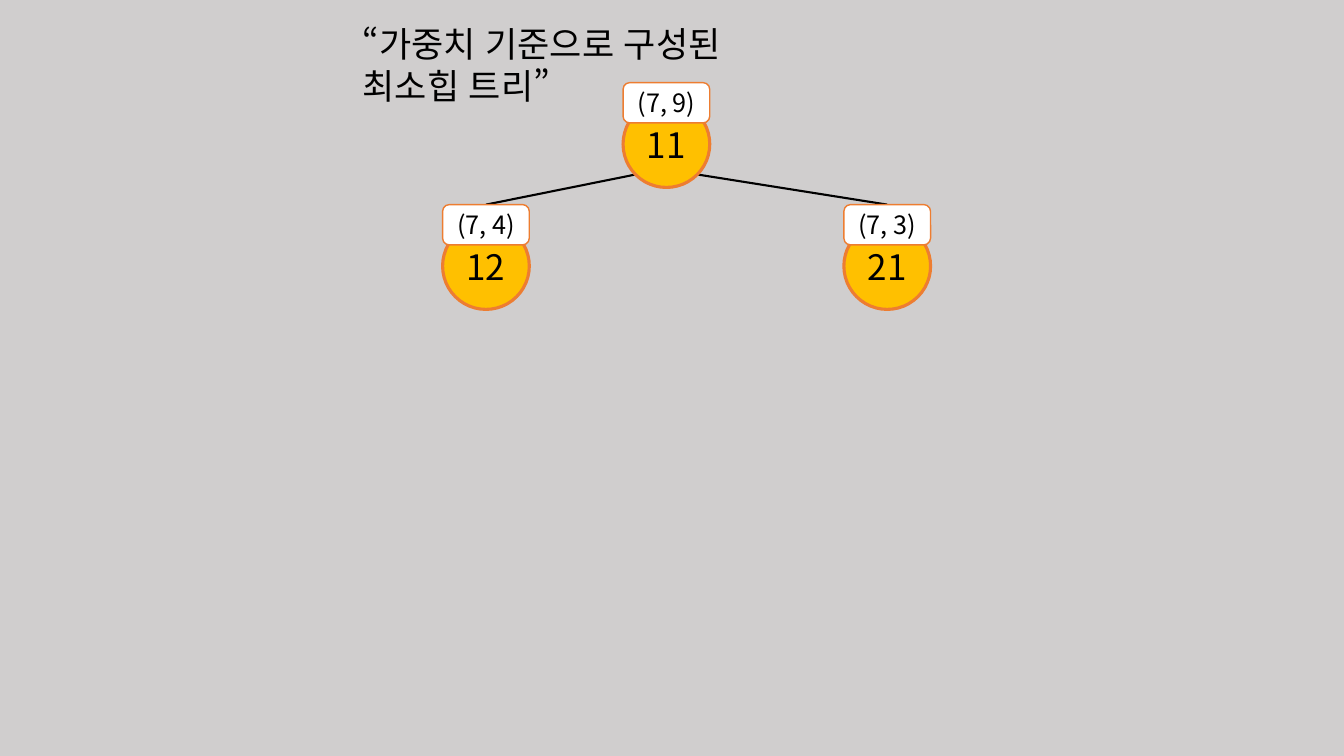
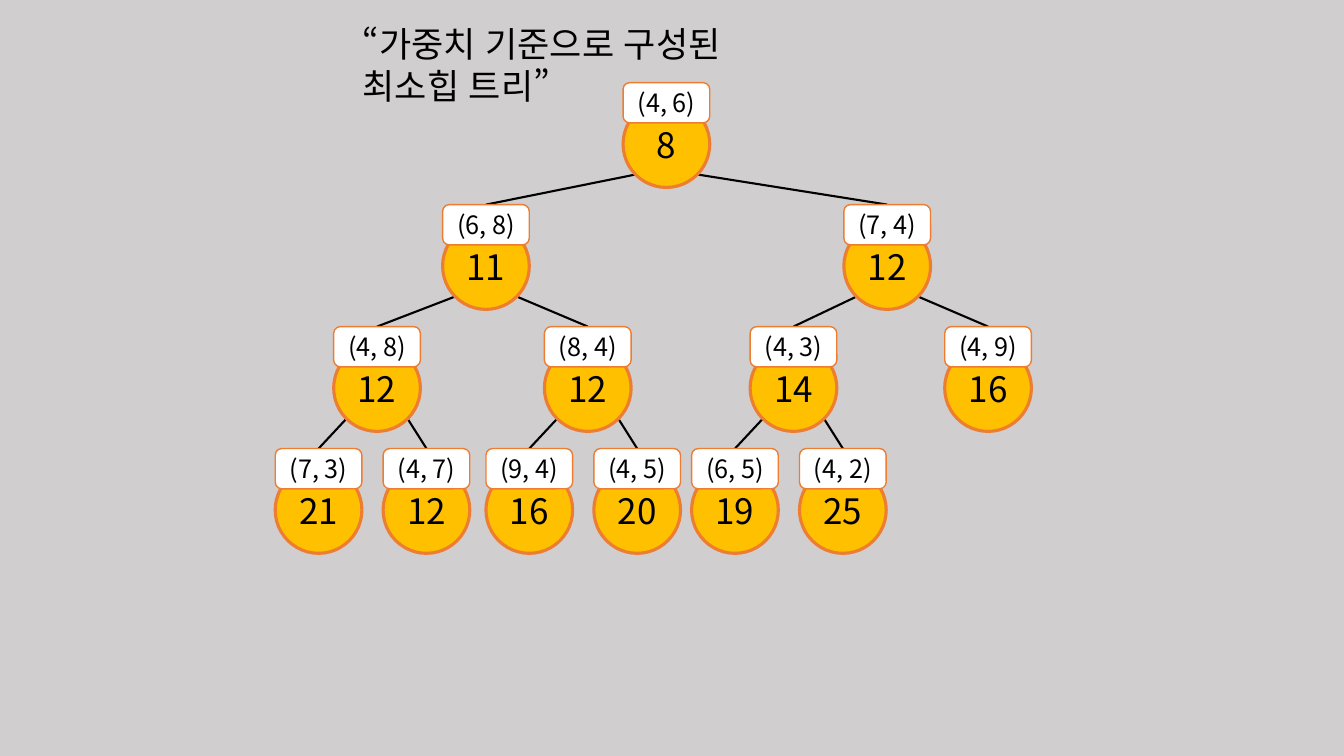
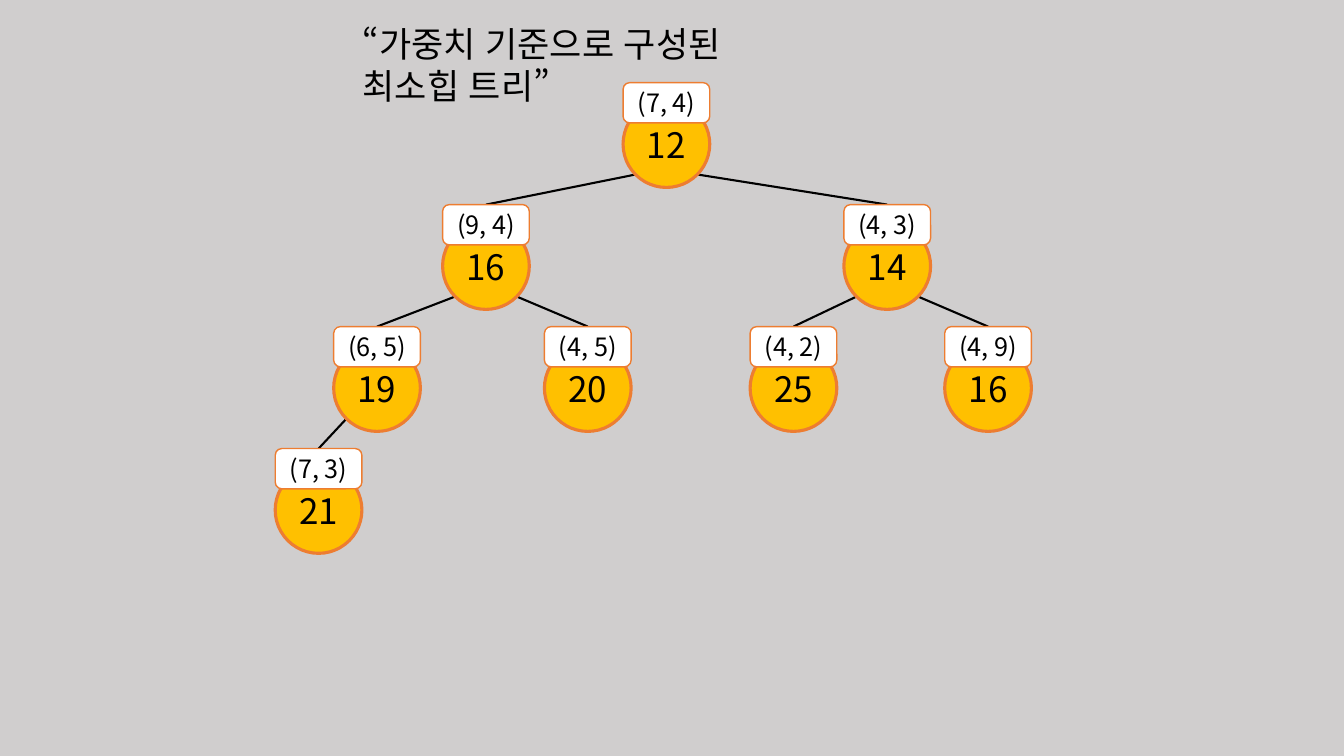
from pptx import Presentation
from pptx.dml.color import RGBColor
from pptx.enum.lang import MSO_LANGUAGE_ID
from pptx.enum.shapes import MSO_CONNECTOR, MSO_SHAPE
from pptx.enum.text import MSO_ANCHOR, PP_ALIGN
from pptx.oxml.ns import qn
from pptx.util import Inches, Pt
from lxml import etree

CIRCLE, TAG = MSO_SHAPE.OVAL, MSO_SHAPE.ROUNDED_RECTANGLE
STRAIGHT = MSO_CONNECTOR.STRAIGHT
LEFT, CENTER = PP_ALIGN.LEFT, PP_ALIGN.CENTER
MIDDLE = MSO_ANCHOR.MIDDLE
KOREAN = MSO_LANGUAGE_ID.KOREAN

FONT = "Noto Sans CJK KR"
COLORS = {"background": "D0CECE", "node": "FFC000", "outline": "ED7D31",
          "tag": "FFFFFF", "ink": "000000"}

TITLE = "“가중치 기준으로 구성된 최소힙 트리”"
# One heap per slide in level order: (weight, position)
HEAPS = [
    [(11, (7, 9)), (12, (7, 4)), (21, (7, 3))],
    [(8, (4, 6)), (11, (6, 8)), (12, (7, 4)), (12, (4, 8)), (12, (8, 4)),
     (14, (4, 3)), (16, (4, 9)), (21, (7, 3)), (12, (4, 7)), (16, (9, 4)),
     (20, (4, 5)), (19, (6, 5)), (25, (4, 2))],
    [(12, (7, 4)), (16, (9, 4)), (14, (4, 3)), (19, (6, 5)), (20, (4, 5)),
     (25, (4, 2)), (16, (4, 9)), (21, (7, 3))],
]

# Node centres of the upper levels; leaves sit beside their parent
UPPER_CENTERS = [6.61, 4.82, 8.8, 3.74, 5.83, 7.87, 9.8]
LEAF_OFFSETS = (-0.58, 0.49)
TOP, LEVEL_PITCH = 0.82, 1.21
NODE_SIZE, TAG_HEIGHT, CIRCLE_DROP = 0.86, 0.4, 0.18
EDGE_SIDE, EDGE_DROP = 0.3, 0.91


def rgb(name):
    return RGBColor.from_string(COLORS[name])


def write(frame, text, size, align=CENTER, wrap=False, line_spacing=None):
    frame.word_wrap = wrap
    paragraph = frame.paragraphs[0]
    paragraph.alignment = align
    if line_spacing:
        paragraph.line_spacing = Pt(line_spacing)
    run = paragraph.add_run()
    run.text = text
    font = run.font
    font.name, font.size, font.language_id = FONT, Pt(size), KOREAN
    font.color.rgb = rgb("ink")
    east_asian = etree.SubElement(run._r.get_or_add_rPr(), qn("a:ea"))
    east_asian.set("typeface", FONT)


def parent_of(index):
    return (index - 1) // 2


def node_place(index):
    """Return the centre x and the top y of a heap node."""
    level = (index + 1).bit_length() - 1
    if index < len(UPPER_CENTERS):
        x = UPPER_CENTERS[index]
    else:
        x = UPPER_CENTERS[parent_of(index)] + LEAF_OFFSETS[(index + 1) % 2]
    return x, TOP + level * LEVEL_PITCH


def add_edge(slide, child):
    parent_x, parent_y = node_place(parent_of(child))
    child_x, child_y = node_place(child)
    side = EDGE_SIDE if child_x > parent_x else -EDGE_SIDE
    edge = slide.shapes.add_connector(
        STRAIGHT, Inches(parent_x + side), Inches(parent_y + EDGE_DROP),
        Inches(child_x), Inches(child_y))
    edge.line.color.rgb = rgb("ink")
    edge.line.width = Pt(1.5)
    etree.SubElement(edge._element.spPr, qn("a:effectLst"))


def add_node(slide, index, weight, position):
    x, y = node_place(index)
    group = slide.shapes.add_group_shape()
    for kind, top, height, fill, width, text, size in (
            (CIRCLE, y + CIRCLE_DROP, NODE_SIZE, "node", 2.25, str(weight), 25),
            (TAG, y, TAG_HEIGHT, "tag", 1, str(position), 18)):
        part = group.shapes.add_shape(
            kind, Inches(x - NODE_SIZE / 2), Inches(top),
            Inches(NODE_SIZE), Inches(height))
        part.shadow.inherit = False
        part.fill.solid()
        part.fill.fore_color.rgb = rgb(fill)
        part.line.color.rgb = rgb("outline")
        part.line.width = Pt(width)
        part.text_frame.vertical_anchor = MIDDLE
        write(part.text_frame, text, size)


def add_heap_slide(prs, heap):
    slide = prs.slides.add_slide(prs.slide_layouts[6])
    title = slide.shapes.add_textbox(
        Inches(3.5), Inches(0.17), Inches(4.76), Inches(0.52))
    write(title.text_frame, TITLE, 25, align=LEFT, wrap=True, line_spacing=30)
    for child in range(1, len(heap)):
        add_edge(slide, child)
    for index, (weight, position) in enumerate(heap):
        add_node(slide, index, weight, position)


def main():
    prs = Presentation()
    prs.slide_width, prs.slide_height = Inches(13.33), Inches(7.5)
    background = prs.slide_master.background.fill
    background.solid()
    background.fore_color.rgb = rgb("background")
    for heap in HEAPS:
        add_heap_slide(prs, heap)
    prs.save("out.pptx")


if __name__ == "__main__":
    main()
